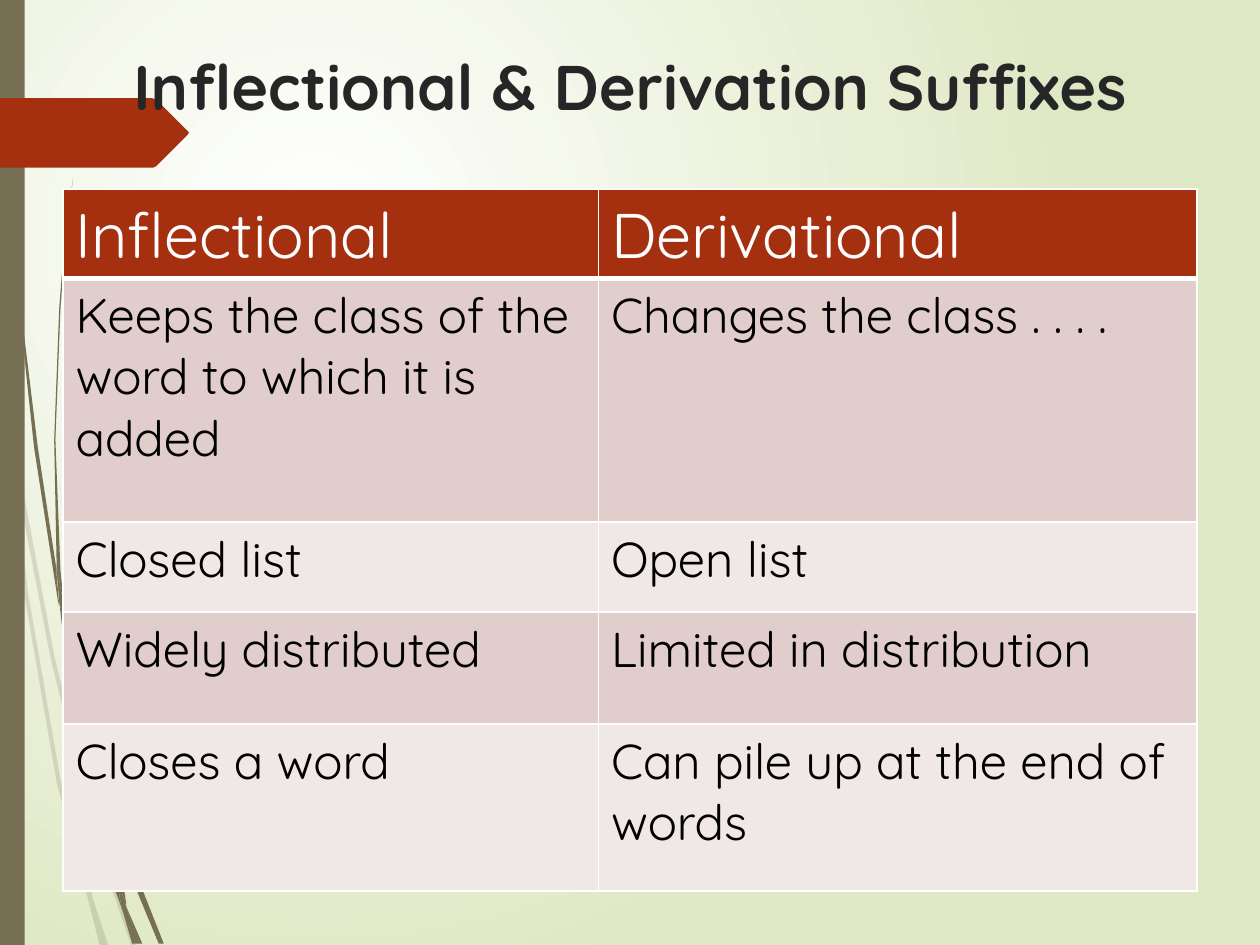
import dataclasses

import pptx
import pptx.dml.color
import pptx.enum.shapes
import pptx.enum.text
import pptx.oxml
import pptx.oxml.ns
import pptx.util

Cm, Pt = pptx.util.Cm, pptx.util.Pt
RGB = pptx.dml.color.RGBColor.from_string
qn = pptx.oxml.ns.qn
NS = pptx.oxml.ns.nsdecls("a")


@dataclasses.dataclass(frozen=True)
class Theme:
    """Colours, font and type sizes of the slide."""
    white: str = "FFFFFF"
    glow: str = "DFE8C4"
    stem: str = "766F54"
    accent: str = "A53010"
    title: str = "262626"
    body: str = "000000"
    bands: tuple = ("E1CDCC", "F0E8E7")
    font: str = "Quicksand"
    large: int = 36
    normal: int = 28


THEME = Theme()
UNIT = Cm(0.0254)
PALE_WISPS = """
8,350 6,322 0,282 0,299 7,344
40,522 59,599 59,586 43,520 10,345 12,376
64,607 61,596 61,610 85,694 104,750 108,750 88,692
83,750 86,750 73,711
64,683 48,619 22,469 12,376 8,350 19,470 45,621 64,693 70,714 69,707
58,599 60,646 64,683 67,692 73,711 72,706 63,646 61,610 61,608
61,584 76,462 111,349 159,245 187,198 201,175 217,154 217,153 201,175 186,197 158,244 110,348 75,461 59,584 59,586 61,596
70,714 79,750 82,750
61,608 61,610 61,596 59,586 58,599
67,692 65,683 69,707 70,714 82,750 83,750 73,711
"""
DARK_WISPS = """
5,110 14,233 27,355 46,477 47,481 45,457 45,453 30,355 15,232 6,109 4,48 3,0 2,0 3,48
73,592 88,645 88,633 88,631 77,590 50,472 53,505
94,649 91,641 91,656 109,708 126,749 130,749 113,706
91,691 81,657 60,556 53,505 47,477 56,557 77,659 92,708 97,722 96,717
50,472 48,453 44,349 48,245 52,193 58,141 51,193 47,245 43,349 45,449 49,472
110,749 113,749 100,719
47,477 53,505 50,472 49,472 45,449 45,453
91,633 103,552 131,476 169,406 191,374 203,359 216,344 215,344 203,358 191,373 168,405 129,474 101,551 88,631 91,641
97,722 105,749 108,749
88,645 91,691 96,706 100,719 100,716 91,656 90,651
88,645 90,651 91,656 91,641 88,631 88,633
96,706 91,691 96,717 97,722 108,749 110,749 100,719
"""
ARROW = "149,29 124,54 122,55 111,55 0,55 0,0 111,0 121,0 124,1 149,26 150,27"
ROWS = [
    ("Inflectional", "Derivational"),
    ("Keeps the class of the word to which it is added", "Changes the class . . . ."),
    ("Closed list", "Open list"),
    ("Widely distributed", "Limited in distribution"),
    ("Closes a word", "Can pile up at the end of words"),
]
COL_SHARES = (4.25, 4.75)
ROW_SHARES = (0.71, 1.93, 0.71, 0.89, 1.32)


def style_text(p, size, color, bold=False):
    """Format the runs of a paragraph."""
    for r in p.runs:
        r.font.name = THEME.font
        r.font.size = Pt(size)
        r.font.bold = bold
        r.font.color.rgb = RGB(color)


def paint(sp, color, alpha=None):
    """Give a shape a plain fill without line or shadow."""
    sp.shadow.inherit = False
    sp.line.fill.background()
    sp.fill.solid()
    sp.fill.fore_color.rgb = RGB(color)
    if alpha:
        clr = sp.fill._xPr.find(".//" + qn("a:srgbClr"))
        clr.append(pptx.oxml.parse_xml(f'<a:alpha {NS} val="{alpha * 1000}"/>'))


def add_outline(slide, left, top, outline, color, alpha=None):
    """Draw a closed outline whose points are hundredths of an inch from left, top."""
    points = [tuple(map(int, pair.split(","))) for pair in outline.split()]
    builder = slide.shapes.build_freeform(*points[0], scale=UNIT)
    builder.add_line_segments(points[1:], close=True)
    paint(builder.convert_to_shape(left, top), color, alpha)


def set_background(slide):
    """Fill the slide with a radial glow."""
    fill = slide.background.fill
    fill.gradient()
    for stop, color in zip(fill.gradient_stops, (THEME.white, THEME.glow)):
        stop.color.rgb = RGB(color)
    for stop, position in zip(fill.gradient_stops, (0, 1)):
        stop.position = position
    grad = slide.element.find(".//" + qn("a:gradFill"))
    grad.remove(grad.find(qn("a:lin")))
    grad.find(qn("a:gsLst")).addnext(pptx.oxml.parse_xml(
        f'<a:path {NS} path="circle">'
        '<a:fillToRect l="50000" t="50000" r="100000" b="100000"/></a:path>'))


def add_decoration(slide, left, top, width, height):
    """Draw the wisps, the side bar and the arrow tab."""
    for wisps, alpha in ((PALE_WISPS, 20), (DARK_WISPS, None)):
        for outline in wisps.strip().splitlines():
            add_outline(slide, left, top, outline, THEME.stem, alpha)
    bar = slide.shapes.add_shape(
        pptx.enum.shapes.MSO_SHAPE.RECTANGLE, left, top, width, height)
    paint(bar, THEME.stem)
    add_outline(slide, left, top + Cm(1.98), ARROW, THEME.accent)


def add_title(slide, left, top, width, height, text):
    """Place the centred slide title."""
    tf = slide.shapes.add_textbox(left, top, width, height).text_frame
    tf.word_wrap = True
    tf.text = text
    p = tf.paragraphs[0]
    p.alignment = pptx.enum.text.PP_ALIGN.CENTER
    style_text(p, THEME.large, THEME.title, bold=True)


def set_borders(cell, bottom):
    """Give a cell white borders, with its own bottom weight."""
    tcPr = cell._tc.get_or_add_tcPr()
    for side, weight in (("L", 1), ("R", 1), ("T", 1), ("B", bottom)):
        tcPr.append(pptx.oxml.parse_xml(
            f'<a:ln{side} {NS} w="{Pt(weight)}"><a:solidFill>'
            f'<a:srgbClr val="{THEME.white}"/></a:solidFill></a:ln{side}>'))


def add_comparison(slide, left, top, width, height):
    """Place the table that compares both kinds of suffix."""
    table = slide.shapes.add_table(
        len(ROWS), len(COL_SHARES), left, top, width, height).table
    for col, share in zip(table.columns, COL_SHARES):
        col.width = int(width * share / sum(COL_SHARES))
    for row, share in zip(table.rows, ROW_SHARES):
        row.height = int(height * share / sum(ROW_SHARES))
    for i, texts in enumerate(ROWS):
        header = i == 0
        size, color, fill = (
            (THEME.large, THEME.white, THEME.accent) if header
            else (THEME.normal, THEME.body, THEME.bands[(i - 1) % 2]))
        for cell, text in zip(table.rows[i].cells, texts):
            cell.text = text
            style_text(cell.text_frame.paragraphs[0], size, color)
            set_borders(cell, 3 if header else 1)
            cell.fill.solid()
            cell.fill.fore_color.rgb = RGB(fill)


def main():
    """Build and save the slide."""
    prs = pptx.Presentation()
    prs.slide_width, prs.slide_height = Cm(25.4), Cm(19.05)
    slide = prs.slides.add_slide(prs.slide_layouts[6])
    set_background(slide)
    add_decoration(slide, 0, 0, Cm(0.5), prs.slide_height)
    add_title(slide, Cm(1.27), Cm(0.84), Cm(22.86), Cm(2.34),
              "Inflectional & Derivation Suffixes")
    add_comparison(slide, Cm(1.27), Cm(3.81), Cm(22.86), Cm(14.15))
    prs.save("out.pptx")


if __name__ == "__main__":
    main()
